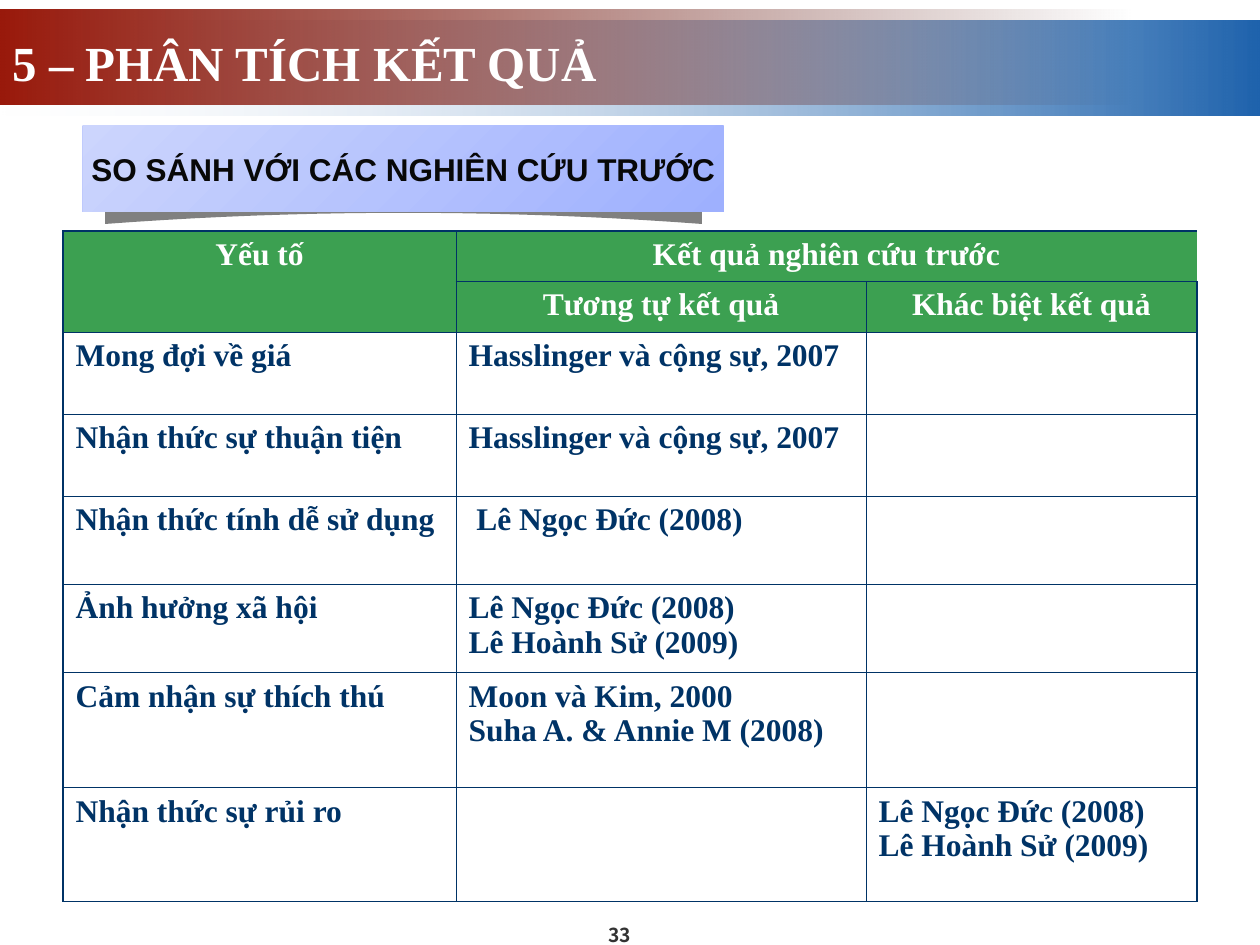
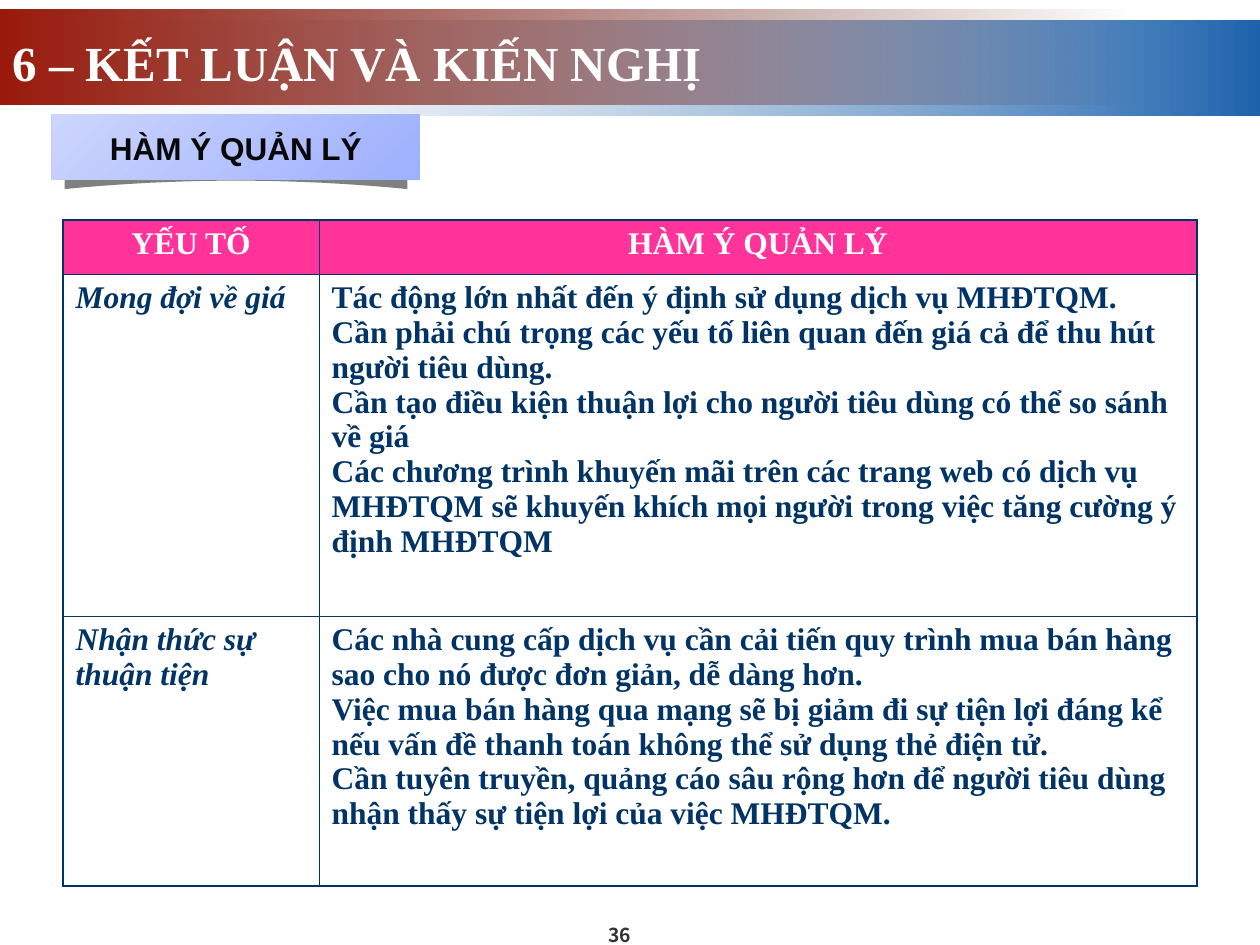
from lxml import etree
from pptx import Presentation
from pptx.dml.color import RGBColor
from pptx.enum.shapes import MSO_SHAPE
from pptx.enum.text import MSO_ANCHOR, PP_ALIGN
from pptx.oxml.ns import qn
from pptx.util import Emu, Pt

RECT = MSO_SHAPE.RECTANGLE
MIDDLE = MSO_ANCHOR.MIDDLE
LEFT, CENTER = PP_ALIGN.LEFT, PP_ALIGN.CENTER
SCALE = 914400 / 126

HUES = {
    "white": "FFFFFF",
    "ink": "080808",
    "gray": "333333",
    "shade": "808080",
    "navy": "003366",
    "blue": "1F63AD",
    "mist": "E2EAF3",
    "dark": "460B05",
    "red": "99190B",
    "lilac": "9EB0FE",
    "pale": "CCD5FD",
    "green": "3CA051",
    "pink": "FF3399",
}

FONTS = {
    "title": {"name": "Times New Roman", "size": Pt(28), "bold": True},
    "label": {"name": "Arial", "size": Pt(18), "bold": True},
    "page": {"name": "Noto Sans CJK KR", "size": Pt(11), "bold": True},
    "cell": {"name": "Times New Roman", "size": Pt(18), "bold": True},
    "factor": {"name": "Times New Roman", "size": Pt(18), "bold": True, "italic": True},
}

PRIOR = [
    ["Yếu tố", "Kết quả nghiên cứu trước", ""],
    ["", "Tương tự kết quả", "Khác biệt kết quả"],
    ["Mong đợi về giá", "Hasslinger và cộng sự, 2007", ""],
    ["Nhận thức sự thuận tiện", "Hasslinger và cộng sự, 2007", ""],
    ["Nhận thức tính dễ sử dụng", " Lê Ngọc Đức (2008)", ""],
    ["Ảnh hưởng xã hội", "Lê Ngọc Đức (2008)\nLê Hoành Sử (2009)", ""],
    ["Cảm nhận sự thích thú", "Moon và Kim, 2000\nSuha A. & Annie M (2008)", ""],
    ["Nhận thức sự rủi ro", "", "Lê Ngọc Đức (2008)\nLê Hoành Sử (2009)"],
]

ADVICE = [
    ["YẾU TỐ", "HÀM Ý QUẢN LÝ"],
    [
        "Mong đợi về giá",
        "Tác động lớn nhất đến ý định sử dụng dịch vụ MHĐTQM.\n"
        "Cần phải chú trọng các yếu tố liên quan đến giá cả để thu hút người tiêu dùng.\n"
        "Cần tạo điều kiện thuận lợi cho người tiêu dùng có thể so sánh về giá\n"
        "Các chương trình khuyến mãi trên các trang web có dịch vụ MHĐTQM "
        "sẽ khuyến khích mọi người trong việc tăng cường ý định MHĐTQM",
    ],
    [
        "Nhận thức sự thuận tiện",
        "Các nhà cung cấp dịch vụ cần cải tiến quy trình mua bán hàng "
        "sao cho nó được đơn giản, dễ dàng hơn.\n"
        "Việc mua bán hàng qua mạng sẽ bị giảm đi sự tiện lợi đáng kể "
        "nếu vấn đề thanh toán không thể sử dụng thẻ điện tử.\n"
        "Cần tuyên truyền, quảng cáo sâu rộng hơn để người tiêu dùng "
        "nhận thấy sự tiện lợi của việc MHĐTQM.",
    ],
]


def px(size):
    return Emu(round(size * SCALE))


def rgb(hue):
    return RGBColor.from_string(HUES[hue])


def write(frame, text, font, hue, align=LEFT):
    frame.text = text
    for para in frame.paragraphs:
        para.alignment = align
        for run in para.runs:
            for key, value in FONTS[font].items():
                setattr(run.font, key, value)
            run.font.color.rgb = rgb(hue)


def add_text(slide, box, text, font, hue, align, wrap, inset):
    frame = slide.shapes.add_textbox(*map(px, box)).text_frame
    frame.word_wrap = wrap
    frame.vertical_anchor = MIDDLE
    if not inset:
        for side in ("left", "top", "right", "bottom"):
            setattr(frame, "margin_" + side, 0)
    write(frame, text, font, hue, align)


def add_fade(shapes, box, hues, angle, clear=None):
    shape = shapes.add_shape(RECT, *map(px, box))
    shape.shadow.inherit = False
    shape.line.fill.background()
    shape.fill.gradient()
    shape.fill.gradient_angle = angle
    for stop, hue in zip(shape.fill.gradient_stops, hues):
        stop.color.rgb = rgb(hue)
    if clear is not None:
        tint = list(shape._element.spPr.iter(qn("a:srgbClr")))[clear]
        etree.SubElement(tint, qn("a:alpha"), val="0")
    return shape


def add_curl(shapes, box):
    x, y, wide, high = box
    inset = wide / 29
    span = wide - 2 * inset
    top, deep = y + 0.66 * high, 0.48 * high
    steps = [i / 10 for i in range(10, -11, -1)]
    arc = [(0.5 + t / 2, 0.73 + 0.27 * t * t) for t in steps]
    edge = arc + [(0, 0.25), (0.5, 0), (1, 0.25)]
    spots = [(px(x + inset + u * span), px(top + v * deep)) for u, v in edge]
    pen = shapes.build_freeform(*spots[0])
    pen.add_line_segments(spots[1:], close=True)
    curl = pen.convert_to_shape()
    curl.shadow.inherit = False
    curl.fill.solid()
    curl.fill.fore_color.rgb = rgb("shade")
    curl.line.fill.background()


def add_label(slide, box, text):
    shapes = slide.shapes.add_group_shape().shapes
    add_curl(shapes, box)
    label = add_fade(shapes, box, ("lilac", "pale"), 135)
    frame = label.text_frame
    frame.word_wrap = False
    frame.vertical_anchor = MIDDLE
    write(frame, text, "label", "ink", CENTER)


def add_edge(cell, side, width):
    line = etree.SubElement(cell._tc.get_or_add_tcPr(), qn("a:ln" + side))
    if not width:
        etree.SubElement(line, qn("a:noFill"))
        return
    line.set("w", str(Pt(width)))
    fill = etree.SubElement(line, qn("a:solidFill"))
    etree.SubElement(fill, qn("a:srgbClr"), val=HUES["navy"])


def add_grid(slide, top, cols, rows, data, hue, heads=1, first="cell", spans=(), bare=()):
    box = (63, top, sum(cols), sum(rows))
    table = slide.shapes.add_table(len(rows), len(cols), *map(px, box)).table
    table.first_row = table.horz_banding = False
    for col, wide in zip(table.columns, cols):
        col.width = px(wide)
    for row, high in zip(table.rows, rows):
        row.height = px(high)
    for r, line in enumerate(data):
        for c, text in enumerate(line):
            cell = table.cell(r, c)
            outer = {
                "L": c == 0,
                "R": c == len(cols) - 1,
                "T": r == 0,
                "B": r == len(rows) - 1,
            }
            for side, rim in outer.items():
                gone = side == "R" and (r, c) in bare
                add_edge(cell, side, 0 if gone else 0.96 if rim else 0.45)
            if r < heads:
                cell.fill.solid()
                cell.fill.fore_color.rgb = rgb(hue)
                look = ("cell", "white", CENTER)
            else:
                cell.fill.background()
                look = ("cell" if c else first, "navy", LEFT)
            if text:
                write(cell.text_frame, text, *look)
    for start, end in spans:
        table.cell(*start).merge(table.cell(*end))


def add_page(deck, title, number):
    slide = deck.slides.add_slide(deck.slide_layouts[6])
    add_fade(slide.shapes, (0, 21, 1260, 95), ("blue", "mist"), 180, clear=1)
    add_fade(slide.shapes, (0, 10, 1134, 95), ("dark", "red"), 180, clear=0)
    add_text(slide, (546, 925, 147, 20), number, "page", "gray", CENTER, False, False)
    add_text(slide, (0, 26, 1260, 72), title, "title", "white", LEFT, True, True)
    return slide


def main():
    deck = Presentation()
    deck.slide_width, deck.slide_height = px(1260), px(945)

    slide = add_page(deck, "5 – PHÂN TÍCH KẾT QUẢ", "33")
    add_label(slide, (83, 126, 641, 86), "SO SÁNH VỚI CÁC NGHIÊN CỨU TRƯỚC")
    add_grid(
        slide, 231, [393, 410, 331], [50, 51, 82, 82, 88, 88, 115, 114],
        PRIOR, "green", heads=2,
        spans=[((0, 0), (1, 0)), ((0, 1), (0, 2))], bare=[(0, 1), (0, 2)],
    )

    slide = add_page(deck, "6 – KẾT LUẬN VÀ KIẾN NGHỊ", "36")
    add_label(slide, (52, 115, 368, 65), "HÀM Ý QUẢN LÝ")
    add_grid(slide, 220, [256, 878], [54, 342, 270], ADVICE, "pink", first="factor")

    deck.save("out.pptx")


if __name__ == "__main__":
    main()
